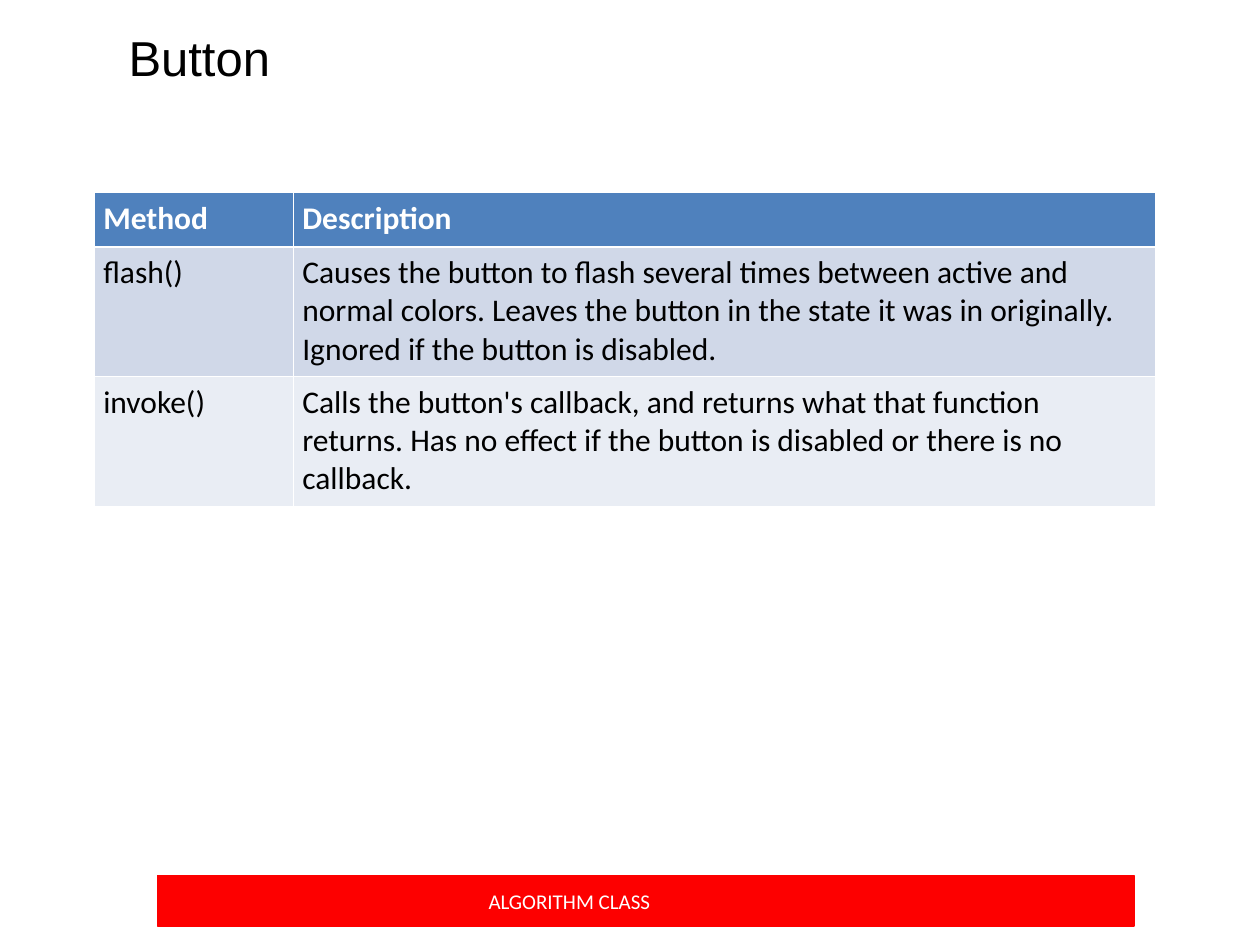
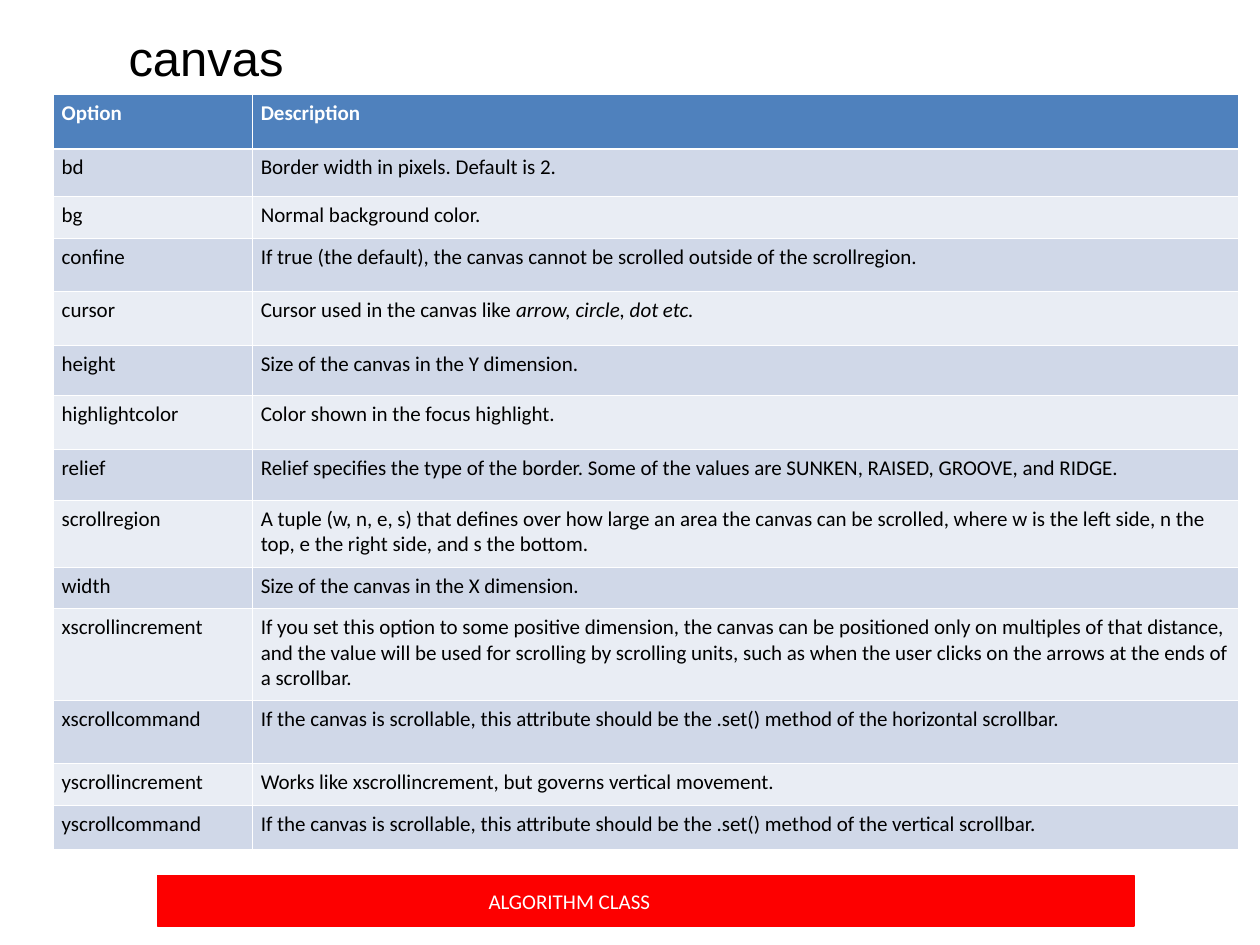
import pptx
import pptx.util
import pptx.dml.color
import pptx.enum.shapes
import pptx.enum.text
import pptx.oxml.ns
from lxml import etree

Inches, Pt = pptx.util.Inches, pptx.util.Pt
ALIGN, ANCHOR = pptx.enum.text.PP_ALIGN, pptx.enum.text.MSO_ANCHOR

WHITE, BLACK, RED = "FFFFFF", "000000", "FD0000"
HEADER, BANDS = "4F81BD", ("D0D8E8", "E9EDF4")
THIN, THICK = 0.45, 1.47
TITLE_BOX = (0.92, 0.17, 7.5, 0.57)
FOOTER_BOX = (1.25, 6.95, 7.75, 0.4)

BUTTON_ROWS = [
    ("Method", "Description"),
    ("flash()", "Causes the button to flash several times between active and normal colors. "
                "Leaves the button in the state it was in originally. "
                "Ignored if the button is disabled."),
    ("invoke()", "Calls the button's callback, and returns what that function returns. "
                 "Has no effect if the button is disabled or there is no callback."),
]
CANVAS_ROWS = [
    ("Option", "Description"),
    ("bd", "Border width in pixels. Default is 2."),
    ("bg", "Normal background color."),
    ("confine", "If true (the default), the canvas cannot be scrolled outside of the scrollregion."),
    ("cursor", "Cursor used in the canvas like |arrow, circle, dot etc."),
    ("height", "Size of the canvas in the Y dimension."),
    ("highlightcolor", "Color shown in the focus highlight."),
    ("relief", "Relief specifies the type of the border. "
               "Some of the values are SUNKEN, RAISED, GROOVE, and RIDGE."),
    ("scrollregion", "A tuple (w, n, e, s) that defines over how large an area the canvas can be "
                     "scrolled, where w is the left side, n the top, e the right side, "
                     "and s the bottom."),
    ("width", "Size of the canvas in the X dimension."),
    ("xscrollincrement", "If you set this option to some positive dimension, the canvas can be "
                         "positioned only on multiples of that distance, and the value will be "
                         "used for scrolling by scrolling units, such as when the user clicks on "
                         "the arrows at the ends of a scrollbar."),
    ("xscrollcommand", "If the canvas is scrollable, this attribute should be the .set() method "
                       "of the horizontal scrollbar."),
    ("yscrollincrement", "Works like xscrollincrement, but governs vertical movement."),
    ("yscrollcommand", "If the canvas is scrollable, this attribute should be the .set() method "
                       "of the vertical scrollbar."),
]
CANVAS_HEIGHTS = [0.43, 0.38, 0.33, 0.42, 0.43, 0.4, 0.43, 0.4, 0.53, 0.33, 0.73, 0.5, 0.33, 0.35]


def rgb(value):
    return pptx.dml.color.RGBColor.from_string(value)


def set_fill(fill, color):
    fill.solid()
    fill.fore_color.rgb = rgb(color)


def write_text(tf, text, size=12, font="Calibri", color=BLACK, bold=False, align=ALIGN.LEFT):
    """Text after a bar is set in italics."""
    tf.word_wrap = True
    p = tf.paragraphs[0]
    p.alignment = align
    for i, part in enumerate(text.split("|")):
        r = p.add_run()
        r.text = part
        r.font.size, r.font.name = Pt(size), font
        r.font.bold, r.font.italic = bold, i == 1
        r.font.color.rgb = rgb(color)


def set_borders(cell, **widths):
    tcPr = cell._tc.get_or_add_tcPr()
    for side in "LRTB":
        ln = etree.SubElement(tcPr, pptx.oxml.ns.qn(f"a:ln{side}"),
                              w=str(Pt(widths.get(side, THIN))))
        fill = etree.SubElement(ln, pptx.oxml.ns.qn("a:solidFill"))
        etree.SubElement(fill, pptx.oxml.ns.qn("a:srgbClr"), val=WHITE)


def add_title(slide, box, text):
    sp = slide.shapes.title
    sp.left, sp.top, sp.width, sp.height = map(Inches, box)
    tf = sp.text_frame
    tf.auto_size = pptx.enum.text.MSO_AUTO_SIZE.NONE
    tf.vertical_anchor = ANCHOR.TOP
    write_text(tf, text, size=28, font="Arial")


def add_footer(slide, box):
    sp = slide.shapes.add_shape(pptx.enum.shapes.MSO_SHAPE.RECTANGLE, *map(Inches, box))
    sp.shadow.inherit = False
    set_fill(sp.fill, RED)
    sp.line.color.rgb = rgb(RED)
    sp.line.width = Pt(0.75)
    tf = sp.text_frame
    tf.vertical_anchor = ANCHOR.MIDDLE
    tf.margin_right = Inches(1.31)
    write_text(tf, "ALGORITHM CLASS", color=WHITE, align=ALIGN.CENTER)


def add_grid(slide, left, top, cols, heights, rows, size):
    box = (left, top, sum(cols), sum(heights))
    table = slide.shapes.add_table(len(rows), len(cols), *map(Inches, box)).table
    table.horz_banding = False
    for column, width in zip(table.columns, cols):
        column.width = Inches(width)
    for i, (row, height, texts) in enumerate(zip(table.rows, heights, rows)):
        row.height = Inches(height)
        head = i == 0
        for cell, text in zip(row.cells, texts):
            cell.margin_left = cell.margin_right = Inches(0.07)
            cell.margin_top = cell.margin_bottom = Inches(0.05)
            set_borders(cell, T=THICK if i == 1 else THIN, B=THICK if head else THIN)
            set_fill(cell.fill, HEADER if head else BANDS[(i - 1) % 2])
            write_text(cell.text_frame, text, size=size, bold=head,
                       color=WHITE if head else BLACK)


def add_table_slide(prs, title, **grid):
    slide = prs.slides.add_slide(prs.slide_layouts[5])
    add_footer(slide, FOOTER_BOX)
    add_title(slide, TITLE_BOX, title)
    add_grid(slide, **grid)


def main():
    prs = pptx.Presentation()
    prs.slide_width, prs.slide_height = Inches(10), Inches(7.5)
    add_table_slide(prs, "Button", left=0.75, top=1.53, cols=[1.58, 6.84],
                    heights=[0.43, 1.03, 1.03], rows=BUTTON_ROWS, size=18)
    add_table_slide(prs, "canvas", left=0.42, top=0.75, cols=[1.58, 7.83],
                    heights=CANVAS_HEIGHTS, rows=CANVAS_ROWS, size=12)
    prs.save("out.pptx")


if __name__ == "__main__":
    main()
